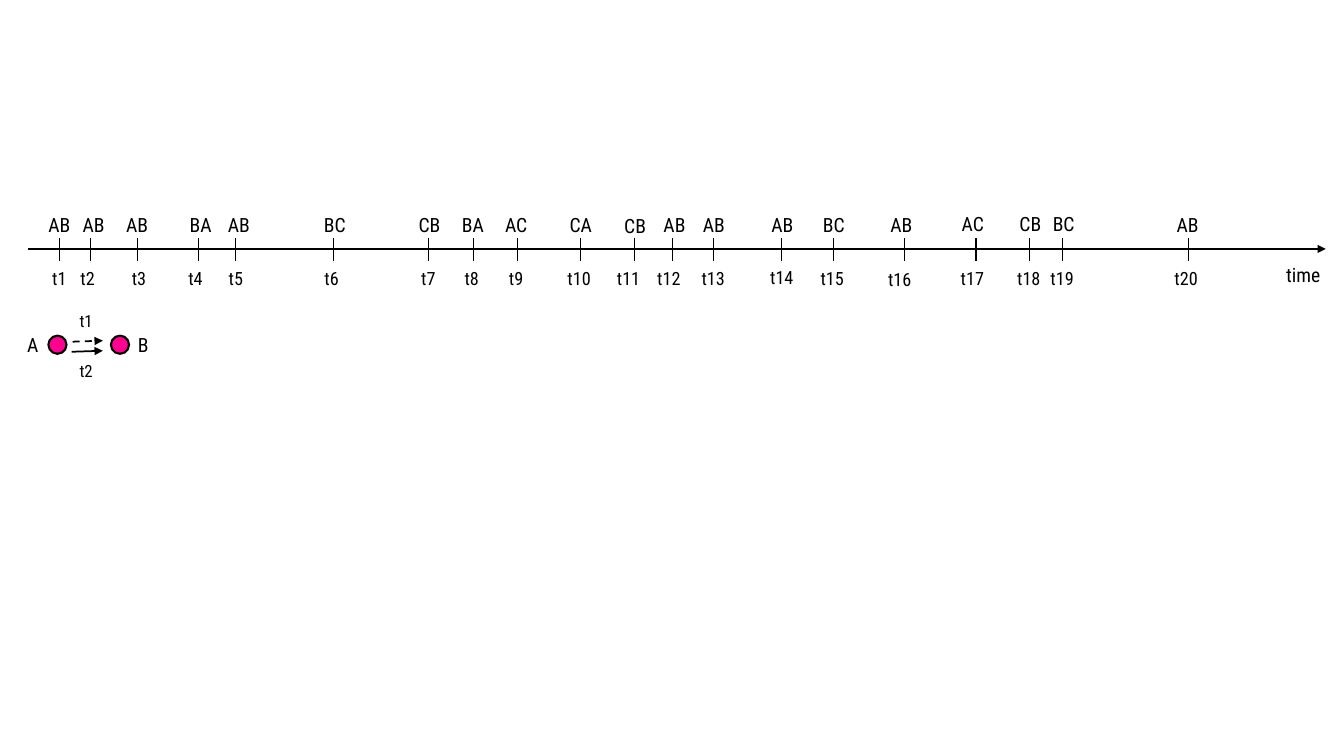
import pptx
import pptx.dml.color
import pptx.enum.dml
import pptx.enum.shapes
import pptx.enum.text
import pptx.oxml
import pptx.oxml.ns
import pptx.util

Inches = pptx.util.Inches
Align = pptx.enum.text.PP_ALIGN
Anchor = pptx.enum.text.MSO_ANCHOR
AutoSize = pptx.enum.text.MSO_AUTO_SIZE

COLORS = {"ink": "000000", "node": "FF0090"}
FONT = "Roboto Condensed"

# Frame formats for the kinds of label
CENTERED = {"word_wrap": True, "vertical_anchor": Anchor.MIDDLE}
TIME_MARK = {"word_wrap": False, "auto_size": AutoSize.SHAPE_TO_FIT_TEXT}
GROWING = {"word_wrap": True, "auto_size": AutoSize.SHAPE_TO_FIT_TEXT}

# Interaction, tick position, left of interaction label, left of time label
EVENTS = [
    ("AB", 0.59, 0.32, 0.42),
    ("AB", 0.9, 0.66, 0.7),
    ("AB", 1.36, 1.09, 1.21),
    ("BA", 1.97, 1.72, 1.77),
    ("AB", 2.34, 2.1, 2.17),
    ("BC", 3.31, 3.05, 3.12),
    ("CB", 4.25, 3.99, 4.08),
    ("BA", 4.7, 4.42, 4.51),
    ("AC", 5.13, 4.85, 4.95),
    ("CA", 5.76, 5.49, 5.53),
    ("CB", 6.29, 6.03, 6.02),
    ("AB", 6.67, 6.42, 6.42),
    ("AB", 7.08, 6.81, 6.86),
    ("AB", 7.75, 7.49, 7.54),
    ("BC", 8.27, 8, 8.04),
    ("AB", 8.97, 8.67, 8.71),
    ("AC", 9.68, 9.38, 9.43),
    ("CB", 10.21, 9.95, 9.99),
    ("BC", 10.54, 10.28, 10.32),
    ("AB", 11.79, 11.51, 11.55),
]
# Labels set slightly off the common rows
PAIR_TOPS = {11: 2.06, 17: 2.04, 18: 2.04, 19: 2.04}
TIME_TOPS = {14: 2.59, 16: 2.61}


def apply_format(target, values):
    for name, value in values.items():
        setattr(target, name, value)


def color(name):
    return pptx.dml.color.RGBColor.from_string(COLORS[name])


class TimelineSlide:
    def __init__(self, slide):
        self.slide = slide
        self.shapes = slide.shapes

    def start_group(self):
        self.shapes = self.slide.shapes.add_group_shape().shapes

    def label(self, text, left, top, width, height, size, frame_format, align=Align.LEFT):
        shape = self.shapes.add_textbox(*map(Inches, (left, top, width, height)))
        apply_format(shape.text_frame, frame_format)
        paragraph = shape.text_frame.paragraphs[0]
        paragraph.alignment = align
        run = paragraph.add_run()
        run.text = text
        apply_format(run.font, {"name": FONT, "size": pptx.util.Pt(size)})
        run.font.color.rgb = color("ink")

    def line(self, start, end, width, arrow=False, dashed=False):
        connector = self.shapes.add_connector(
            pptx.enum.shapes.MSO_CONNECTOR.STRAIGHT, *map(Inches, (*start, *end)))
        connector.line.color.rgb = color("ink")
        connector.line.width = pptx.util.Pt(width)
        if dashed:
            connector.line.dash_style = pptx.enum.dml.MSO_LINE.DASH
        properties = connector._element.spPr
        if arrow:
            tail = pptx.oxml.parse_xml(
                f'<a:tailEnd {pptx.oxml.ns.nsdecls("a")} type="triangle"/>')
            properties.find(pptx.oxml.ns.qn("a:ln")).append(tail)
        properties.append(pptx.oxml.parse_xml(
            f'<a:effectLst {pptx.oxml.ns.nsdecls("a")}/>'))

    def node(self, left, top, diameter):
        shape = self.shapes.add_shape(
            pptx.enum.shapes.MSO_SHAPE.OVAL,
            *map(Inches, (left, top, diameter, diameter)))
        shape.shadow.inherit = False
        shape.fill.solid()
        shape.fill.fore_color.rgb = color("node")
        shape.line.color.rgb = color("ink")
        shape.line.width = pptx.util.Pt(1.5)


def main():
    presentation = pptx.Presentation()
    apply_format(presentation, {"slide_width": Inches(13.33), "slide_height": Inches(7.5)})
    timeline = TimelineSlide(presentation.slides.add_slide(presentation.slide_layouts[6]))

    # Time axis
    timeline.line((0.28, 2.47), (13.15, 2.47), 1.75, arrow=True)
    timeline.label("time", 12.62, 2.55, 0.61, 0.35, 14, CENTERED, Align.CENTER)

    # Events along the axis
    for number, (pair, tick, pair_left, time_left) in enumerate(EVENTS, 1):
        timeline.line((tick, 2.36), (tick, 2.59), 0.75)
        timeline.label(pair, pair_left, PAIR_TOPS.get(number, 2.05), 0.54, 0.35, 14,
                       CENTERED, Align.CENTER)
        timeline.label(f"t{number}", time_left, TIME_TOPS.get(number, 2.6),
                       0.36 if number < 10 else 0.45, 0.32, 13, TIME_MARK)

    # Network of A and B after the first two events
    timeline.start_group()
    for left in (0.48, 1.1):
        timeline.node(left, 3.33, 0.18)
    timeline.line((0.72, 3.39), (1.02, 3.38), 1.25, arrow=True, dashed=True)
    timeline.line((0.71, 3.49), (1.02, 3.48), 1.25, arrow=True)
    for text, left, align in (("A", 0.13, Align.RIGHT), ("B", 1.27, Align.LEFT)):
        timeline.label(text, left, 3.25, 0.35, 0.34, 14, GROWING, align)
    for text, top in (("t1", 3.03), ("t2", 3.53)):
        timeline.label(text, 0.69, top, 0.35, 0.3, 12, GROWING)

    presentation.save("out.pptx")


if __name__ == "__main__":
    main()
